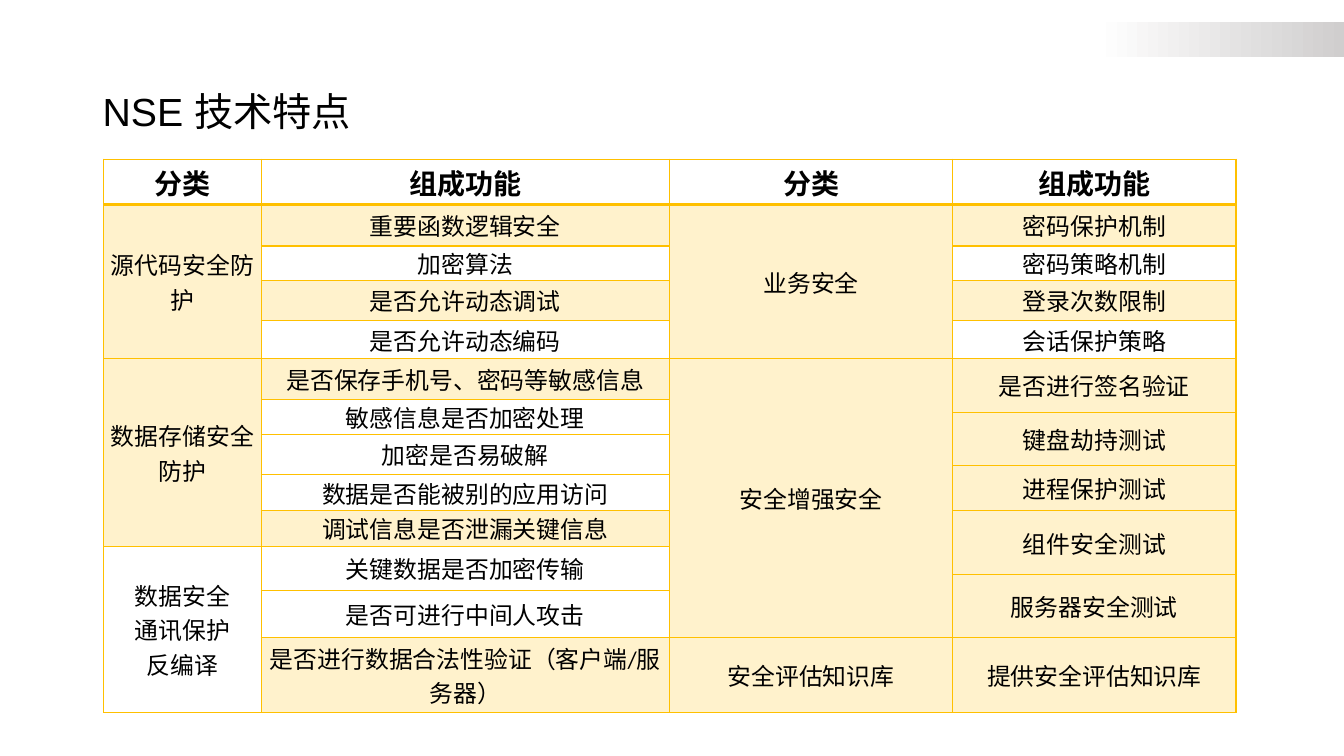
from dataclasses import dataclass

from lxml.etree import SubElement as Sub
from pptx import Presentation
from pptx.dml.color import RGBColor as Rgb
from pptx.enum.shapes import MSO_SHAPE as Shape
from pptx.enum.text import MSO_ANCHOR as Anchor, PP_ALIGN as Align
from pptx.oxml.ns import qn
from pptx.util import Inches, Pt


@dataclass(frozen=True)
class Theme:
    """Colours, fonts and type sizes of the slide."""
    ink: str = "000000"
    gold: str = "FFC000"
    grey: str = "D0CECE"
    white: str = "FFFFFF"
    tint: int = 20
    title: int = 28
    head: int = 20
    body: int = 17
    title_font: str = "Arial"
    body_font: str = "Calibri"


THEME = Theme()
WIDTHS = [1.56, 4.05, 2.81, 2.81]
HEIGHTS = [0.45, 0.41, 0.34, 0.4, 0.38, 0.4, 0.13, 0.22,
           0.31, 0.09, 0.36, 0.35, 0.28, 0.16, 0.47, 0.74]
TIGHT = {1: range(1, 15), 3: range(1, 5)}
COLUMNS = [
    [("分类", 1, False), ("源代码安全防护", 4, True),
     ("数据存储安全防护", 7, True), ("数据安全\n通讯保护\n反编译", 4, False)],
    [("组成功能", 1, False), ("重要函数逻辑安全", 1, True),
     ("加密算法", 1, False), ("是否允许动态调试", 1, True),
     ("是否允许动态编码", 1, False), ("是否保存手机号、密码等敏感信息", 1, True),
     ("敏感信息是否加密处理", 2, False), ("加密是否易破解", 2, False),
     ("数据是否能被别的应用访问", 1, False), ("调试信息是否泄漏关键信息", 1, True),
     ("关键数据是否加密传输", 2, False), ("是否可进行中间人攻击", 1, False),
     ("是否进行数据合法性验证（客户端/服务器）", 1, True)],
    [("分类", 1, False), ("业务安全", 4, True),
     ("安全增强安全", 10, True), ("安全评估知识库", 1, True)],
    [("组成功能", 1, False), ("密码保护机制", 1, True),
     ("密码策略机制", 1, False), ("登录次数限制", 1, True),
     ("会话保护策略", 1, False), ("是否进行签名验证", 2, True),
     ("键盘劫持测试", 2, True), ("进程保护测试", 2, True),
     ("组件安全测试", 2, True), ("服务器安全测试", 2, True),
     ("提供安全评估知识库", 1, True)],
]


def assign(item, values):
    """Set each named attribute of an item."""
    for name, value in values.items():
        setattr(item, name, value)


def style(font, size, face, bold=False):
    """Give a font its size, face, weight and ink colour."""
    assign(font, {"size": Pt(size), "name": face, "bold": bold})
    font.color.rgb = Rgb.from_string(THEME.ink)


def add_fade(slide):
    """Draw the grey fade at the top right."""
    bar = slide.shapes.add_shape(Shape.RECTANGLE, Inches(10.87), Inches(0.22),
                                 Inches(2.46), Inches(0.35))
    bar.shadow.inherit = False
    bar.line.fill.background()
    bar.fill.gradient()
    bar.fill.gradient_angle = 180
    for stop, place, tone in zip(bar.fill.gradient_stops, (0, 1),
                                 (THEME.grey, THEME.white)):
        stop.position = place
        stop.color.rgb = Rgb.from_string(tone)


def add_title(slide, text):
    """Write the slide title."""
    box = slide.shapes.add_textbox(Inches(0.92), Inches(0.4),
                                   Inches(11.5), Inches(1.45))
    assign(box.text_frame, {"word_wrap": True, "vertical_anchor": Anchor.MIDDLE})
    line = box.text_frame.paragraphs[0]
    line.line_spacing = 0.9
    run = line.add_run()
    run.text = text
    style(run.font, THEME.title, THEME.title_font)


def set_edges(cell, row):
    """Draw gold borders, heavier below the header row."""
    props = cell._tc.get_or_add_tcPr()
    for spot, side in enumerate(("lnL", "lnR", "lnT", "lnB")):
        heavy = row == 0 and side == "lnB"
        edge = props.makeelement(qn(f"a:{side}"),
                                 {"w": str(Pt(2 if heavy else 1))})
        props.insert(spot, edge)
        Sub(Sub(edge, qn("a:solidFill")), qn("a:srgbClr"), val=THEME.gold)


def set_fill(cell, tinted):
    """Tint a cell with pale gold or leave it clear."""
    if not tinted:
        cell.fill.background()
        return
    cell.fill.solid()
    cell.fill.fore_color.rgb = Rgb.from_string(THEME.gold)
    tone = cell._tc.tcPr.find(f".//{qn('a:srgbClr')}")
    Sub(tone, qn("a:alpha"), val=str(THEME.tint * 1000))


def set_text(cell, text, head, tight):
    """Write centred text into a cell."""
    side, end = (0, 0) if tight else (0.05, 0.02)
    assign(cell, {"margin_left": Inches(side), "margin_right": Inches(side),
                  "margin_top": Inches(end), "margin_bottom": Inches(end),
                  "vertical_anchor": Anchor.MIDDLE})
    cell.text = text
    for line in cell.text_frame.paragraphs:
        line.alignment = Align.CENTER
        for run in line.runs:
            style(run.font, THEME.head if head else THEME.body,
                  THEME.body_font, head)


def add_grid(slide):
    """Build the feature table, merging cells down each column."""
    grid = slide.shapes.add_table(len(HEIGHTS), len(WIDTHS), Inches(1.03),
                                  Inches(1.58), Inches(sum(WIDTHS)),
                                  Inches(sum(HEIGHTS))).table
    assign(grid, {"first_row": False, "horz_banding": False})
    for col, width in zip(grid.columns, WIDTHS):
        col.width = Inches(width)
    for row, height in zip(grid.rows, HEIGHTS):
        row.height = Inches(height)
    for col, items in enumerate(COLUMNS):
        row = 0
        for text, span, tinted in items:
            cell = grid.cell(row, col)
            for step in range(row, row + span):
                part = grid.cell(step, col)
                set_fill(part, tinted)
                set_edges(part, step)
            if span > 1:
                cell.merge(grid.cell(row + span - 1, col))
            set_text(cell, text, row == 0, row in TIGHT.get(col, ()))
            row += span


def main():
    """Build and save the slide."""
    deck = Presentation()
    assign(deck, {"slide_width": Inches(13.33), "slide_height": Inches(7.5)})
    slide = deck.slides.add_slide(deck.slide_layouts[6])
    add_fade(slide)
    add_title(slide, "NSE 技术特点")
    add_grid(slide)
    deck.save("out.pptx")


if __name__ == "__main__":
    main()
